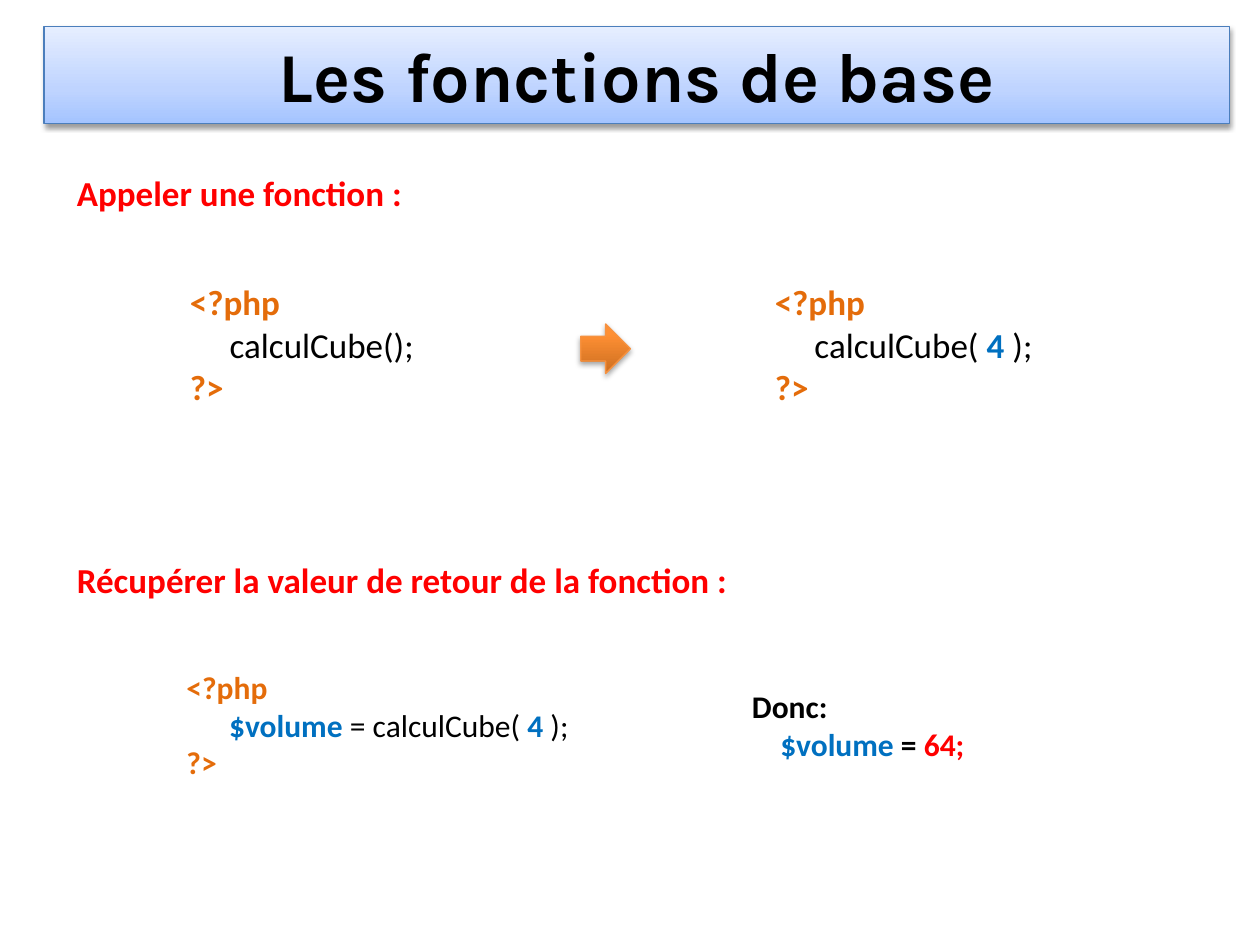
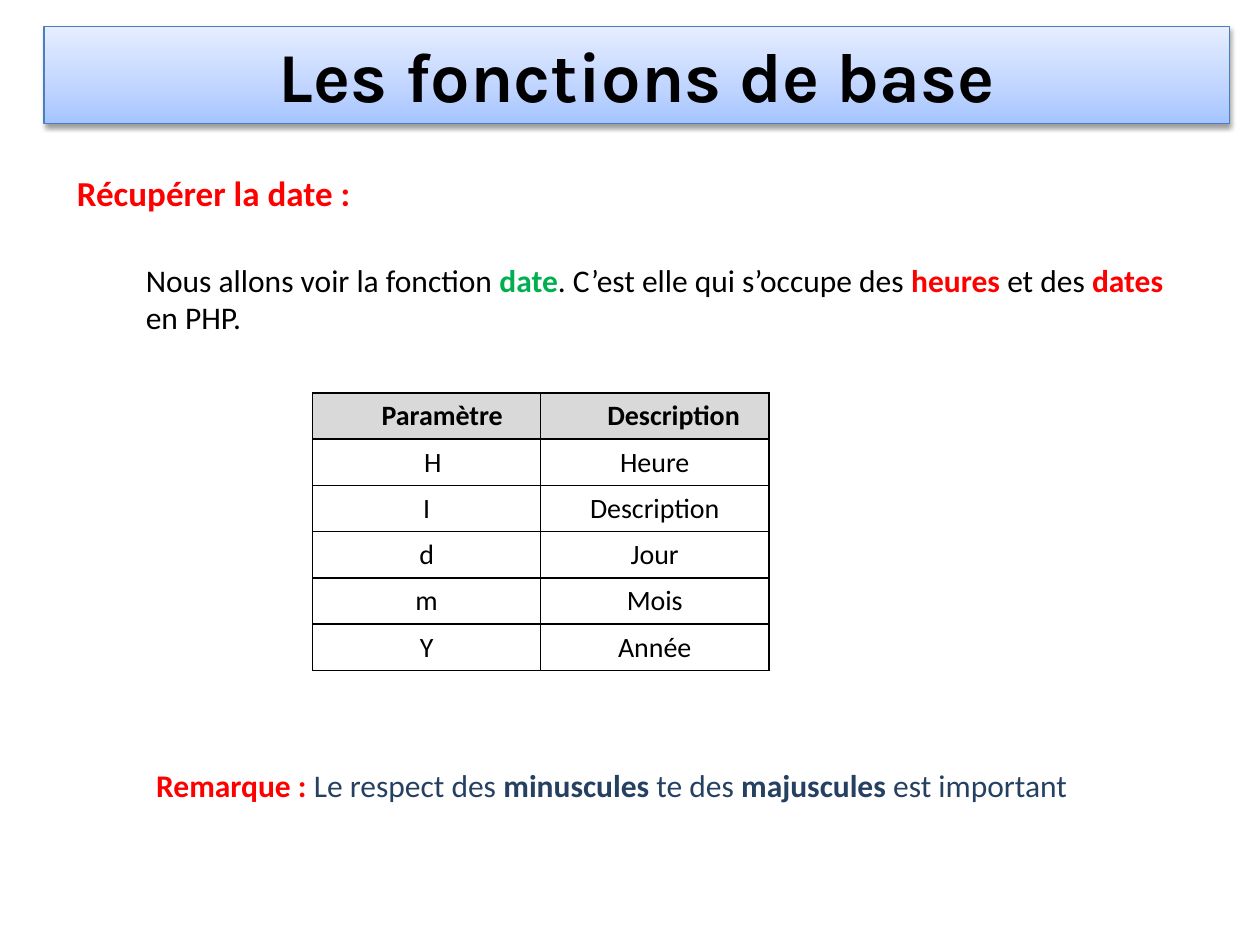
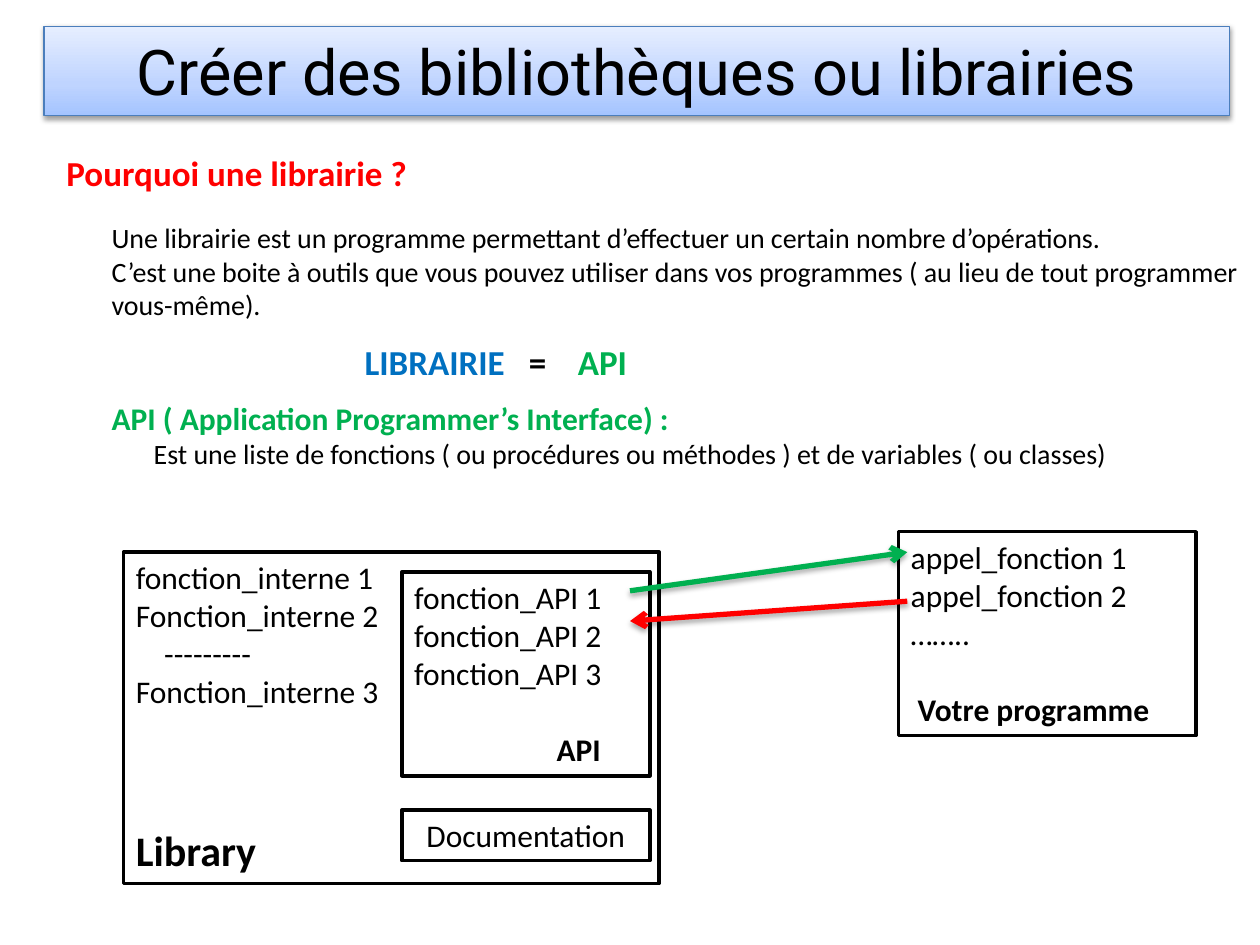
from dataclasses import dataclass
from typing import Any, Optional

from lxml import etree
from pptx import Presentation
from pptx.dml.color import RGBColor
from pptx.enum.shapes import MSO_CONNECTOR, MSO_SHAPE
from pptx.enum.text import MSO_ANCHOR, PP_ALIGN
from pptx.oxml.ns import qn
from pptx.util import Cm, Pt

RECT = MSO_SHAPE.RECTANGLE
ARROW = MSO_SHAPE.RIGHT_ARROW
STRAIGHT = MSO_CONNECTOR.STRAIGHT
LEFT = PP_ALIGN.LEFT
CENTER = PP_ALIGN.CENTER
TOP = MSO_ANCHOR.TOP

BLACK = RGBColor(0x00, 0x00, 0x00)
WHITE = RGBColor(0xFF, 0xFF, 0xFF)
RED = RGBColor(0xFF, 0x00, 0x00)
GREEN = RGBColor(0x00, 0xB0, 0x50)
BLUE = RGBColor(0x00, 0x70, 0xC0)
NAVY = RGBColor(0x25, 0x40, 0x61)
ORANGE = RGBColor(0xE4, 0x6C, 0x0A)
GREY = RGBColor(0xD9, 0xD9, 0xD9)
STEEL = RGBColor(0x4B, 0x7E, 0xBC)
AMBER = RGBColor(0xF6, 0x92, 0x40)
BAND_FILL = (
    (0, RGBColor(0xA4, 0xC4, 0xFF)),
    (35, RGBColor(0xBF, 0xD4, 0xFF)),
    (100, RGBColor(0xE6, 0xEE, 0xFF)),
)
ARROW_FILL = (
    (0, RGBColor(0xCC, 0x6E, 0x20)),
    (80, RGBColor(0xFF, 0x90, 0x34)),
    (100, RGBColor(0xFF, 0x91, 0x36)),
)
BODY_FONT = "Calibri"
ROW_GAP = 22


@dataclass(frozen=True)
class Run:
    text: str
    color: RGBColor = BLACK
    bold: bool = False
    size: Optional[float] = None


@dataclass(frozen=True)
class Line:
    runs: tuple[Run, ...]
    indent: float = 0
    gap: float = 0
    tabs: tuple[float, ...] = ()


@dataclass(frozen=True)
class Area:
    left: float
    top: float
    width: float
    height: float

    def spread(self) -> tuple[Cm, Cm, Cm, Cm]:
        return Cm(self.left), Cm(self.top), Cm(self.width), Cm(self.height)


@dataclass(frozen=True)
class Box:
    area: Area
    lines: tuple[Line, ...]
    align: PP_ALIGN = LEFT


@dataclass(frozen=True)
class Link:
    start: tuple[float, float]
    end: tuple[float, float]
    color: RGBColor


def plain(text: str, indent: float = 0, gap: float = 0, **style: Any) -> Line:
    return Line((Run(text, **style),), indent, gap)


def write(frame: Any, lines: tuple[Line, ...], size: float = 18,
          font: str = BODY_FONT, align: PP_ALIGN = LEFT) -> None:
    frame.word_wrap = True
    for index, line in enumerate(lines):
        para = frame.paragraphs[0] if index == 0 else frame.add_paragraph()
        para.alignment = align
        para.space_before = Pt(line.gap)
        props = para._p.get_or_add_pPr()
        props.set("marL", str(int(Cm(line.indent))))
        if line.tabs:
            stops = etree.SubElement(props, qn("a:tabLst"))
            for place in line.tabs:
                etree.SubElement(stops, qn("a:tab"), pos=str(int(Cm(place))), algn="l")
        for item in line.runs:
            run = para.add_run()
            run.text = item.text
            run.font.name = font
            run.font.size = Pt(item.size or size)
            run.font.bold = item.bold
            run.font.color.rgb = item.color


def add_text(slide: Any, area: Area, *lines: Line, size: float = 18) -> None:
    write(slide.shapes.add_textbox(*area.spread()).text_frame, lines, size)


def add_shade(shape: Any, alpha: int, drop: float) -> None:
    group = etree.SubElement(shape._element.spPr, qn("a:effectLst"))
    shade = etree.SubElement(group, qn("a:outerShdw"), blurRad=str(int(Pt(3.1))),
                             dist=str(int(Pt(drop))), dir="5400000", rotWithShape="0")
    color = etree.SubElement(shade, qn("a:srgbClr"), val=str(BLACK))
    etree.SubElement(color, qn("a:alpha"), val=str(alpha * 1000))


def add_blend(slide: Any, kind: MSO_SHAPE, area: Area,
              stops: tuple[tuple[int, RGBColor], ...], edge: RGBColor,
              alpha: int, drop: float) -> Any:
    shape = slide.shapes.add_shape(kind, *area.spread())
    fill = etree.Element(qn("a:gradFill"), rotWithShape="1")
    group = etree.SubElement(fill, qn("a:gsLst"))
    for place, color in stops:
        stop = etree.SubElement(group, qn("a:gs"), pos=str(place * 1000))
        etree.SubElement(stop, qn("a:srgbClr"), val=str(color))
    etree.SubElement(fill, qn("a:lin"), ang="16200000", scaled="0")
    shape._element.spPr.find(qn("a:prstGeom")).addnext(fill)
    shape.line.color.rgb = edge
    shape.line.width = Pt(0.75)
    add_shade(shape, alpha, drop)
    return shape


def start_slide(deck: Any, title: str, height: float = 1.96, size: float = 40,
                font: str = "Karla", bold: bool = True) -> Any:
    slide = deck.slides.add_slide(deck.slide_layouts[6])
    band = add_blend(slide, RECT, Area(0.89, 0.53, 23.9, height),
                     BAND_FILL, STEEL, 38, 1.6)
    band.text_frame.vertical_anchor = TOP
    write(band.text_frame, (plain(title, bold=bold),), size, font, CENTER)
    return slide


def add_head(slide: Any, text: str, top: float = 3.33, left: float = 1.3) -> None:
    add_text(slide, Area(left, top, 20.2, 1.12),
             plain(text, color=RED, bold=True), size=20)


def add_code(slide: Any, area: Area, *runs: Run, indent: float = 0,
             step: float = 0.8, size: float = 20) -> None:
    add_text(slide, area,
             plain("<?php", indent, color=ORANGE, bold=True),
             Line(runs, indent + step),
             plain("?>", indent, color=ORANGE, bold=True), size=size)


def add_box(slide: Any, box: Box) -> None:
    shape = slide.shapes.add_shape(RECT, *box.area.spread())
    shape.fill.solid()
    shape.fill.fore_color.rgb = WHITE
    shape.line.color.rgb = BLACK
    shape.line.width = Pt(2)
    shape.shadow.inherit = False
    shape.text_frame.vertical_anchor = TOP
    write(shape.text_frame, box.lines, align=box.align)


def add_link(slide: Any, link: Link) -> None:
    ends = [Cm(place) for place in link.start + link.end]
    line = slide.shapes.add_connector(STRAIGHT, *ends)
    line.line.color.rgb = link.color
    line.line.width = Pt(3)
    etree.SubElement(line.line._get_or_add_ln(), qn("a:tailEnd"), type="arrow")
    add_shade(line, 35, 1.8)


def add_grid(slide: Any, area: Area, rows: tuple[tuple[Line, Line], ...]) -> None:
    table = slide.shapes.add_table(len(rows), 2, *area.spread()).table
    table.first_row = False
    table.horz_banding = False
    for index, row in enumerate(rows):
        table.rows[index].height = Cm(area.height / len(rows))
        for place, line in enumerate(row):
            cell = table.cell(index, place)
            write(cell.text_frame, (line,), 16, align=CENTER)
            props = cell._tc.get_or_add_tcPr()
            for side in "LRTB":
                edge = etree.SubElement(props, qn(f"a:ln{side}"), w=str(int(Pt(1))))
                fill = etree.SubElement(edge, qn("a:solidFill"))
                etree.SubElement(fill, qn("a:srgbClr"), val=str(BLACK))
            if index == 0:
                cell.fill.solid()
                cell.fill.fore_color.rgb = GREY
            else:
                cell.fill.background()


def build_calls(deck: Any) -> None:
    slide = start_slide(deck, "Les fonctions de base")
    four = Run("4", BLUE, True)
    volume = Run("$volume ", BLUE, True)
    add_head(slide, "Appeler une fonction :")
    add_code(slide, Area(2.31, 5.54, 7.8, 3.58), Run("calculCube();"), indent=1.27)
    add_code(slide, Area(14.1, 5.54, 7.8, 3.58),
             Run("calculCube( "), four, Run(" );"), indent=1.27)
    add_blend(slide, ARROW, Area(11.71, 6.53, 1, 1), ARROW_FILL, AMBER, 35, 1.8)
    add_head(slide, "Récupérer la valeur de retour de la fonction :", 11.13)
    add_code(slide, Area(3.51, 13.34, 8.79, 2.57), volume,
             Run("= calculCube( "), four, Run(" );"), step=0.86, size=18)
    add_text(slide, Area(14.91, 13.72, 8.79, 1.8), plain("Donc:", bold=True),
             Line((volume, Run("= ", bold=True), Run("64;", RED, True)), 0.57))


def build_date(deck: Any) -> None:
    slide = start_slide(deck, "Les fonctions de base")
    add_head(slide, "Récupérer la date :")
    add_text(slide, Area(2.69, 5.13, 21.2, 1.8), Line((
        Run("Nous allons voir la fonction "), Run("date", GREEN, True),
        Run(". C’est elle qui s’occupe des "), Run("heures ", RED, True),
        Run("et des "), Run("dates ", RED, True), Run("en PHP."))))
    pairs = (("I", "Description"), ("d", "Jour"), ("m", "Mois"), ("Y", "Année"))
    rows = (
        (plain("Paramètre", 0.63, bold=True), plain("Description", 0.76, bold=True)),
        (plain("H", 0.25), plain("Heure")),
        *((plain(code), plain(sense)) for code, sense in pairs),
    )
    add_grid(slide, Area(6.3, 7.92, 9.2, 5.58), rows)
    add_text(slide, Area(2.9, 15.32, 21.2, 1.02), Line((
        Run("Remarque : ", RED, True), Run("Le respect des ", NAVY),
        Run("minuscules", NAVY, True), Run(" te des ", NAVY),
        Run("majuscules", NAVY, True), Run(" est important", NAVY))))


def build_library(deck: Any) -> None:
    slide = start_slide(deck, "Créer des bibliothèques ou librairies",
                        1.8, 36, "Roboto", False)
    add_head(slide, "Pourquoi une librairie ?", 2.92, 1.09)
    add_text(slide, Area(2, 4.32, 23.4, 2.31),
             plain("Une librairie est un programme permettant d’effectuer "
                   "un certain nombre d’opérations."),
             plain("C’est une boite à outils que vous pouvez utiliser dans vos "
                   "programmes ( au lieu de tout programmer vous-même)."), size=16)
    add_text(slide, Area(7.1, 6.73, 6, 1.12), Line((
        Run("LIBRAIRIE\t", BLUE, True), Run("=\t", bold=True),
        Run("API", GREEN, True)), tabs=(3.31, 4.3)), size=20)
    add_text(slide, Area(2, 7.92, 23.4, 1.8),
             plain("API ( Application Programmer’s Interface) :",
                   color=GREEN, bold=True),
             plain("Est une liste de fonctions ( ou procédures ou méthodes ) "
                   "et de variables ( ou classes)", 0.85, size=16))
    boxes = (
        Box(Area(2.49, 11.13, 10.8, 6.68), (
            plain("fonction_interne 1"), plain("Fonction_interne 2"),
            plain("---------", 0.57), plain("Fonction_interne 3"),
            plain("Library", gap=3 * ROW_GAP, bold=True, size=24))),
        Box(Area(8.1, 11.53, 5, 4.11), (
            *(plain(f"fonction_API {count}") for count in range(1, 4)),
            plain("API", 2.87, ROW_GAP, bold=True))),
        Box(Area(8.1, 16.33, 5, 1.02), (plain("Documentation"),), CENTER),
        Box(Area(18.11, 10.72, 6, 4.11), (
            plain("appel_fonction 1"), plain("appel_fonction 2"), plain("…….."),
            plain("Votre programme", 0.14, ROW_GAP, bold=True))),
    )
    for box in boxes:
        add_box(slide, box)
    for link in (Link((12.7, 11.91), (18.29, 11.13), GREEN),
                 Link((18.29, 12.12), (12.7, 12.52), RED)):
        add_link(slide, link)


def main() -> None:
    deck = Presentation()
    deck.slide_width = Cm(25.4)
    deck.slide_height = Cm(19.05)
    build_calls(deck)
    build_date(deck)
    build_library(deck)
    deck.save("out.pptx")


if __name__ == "__main__":
    main()
